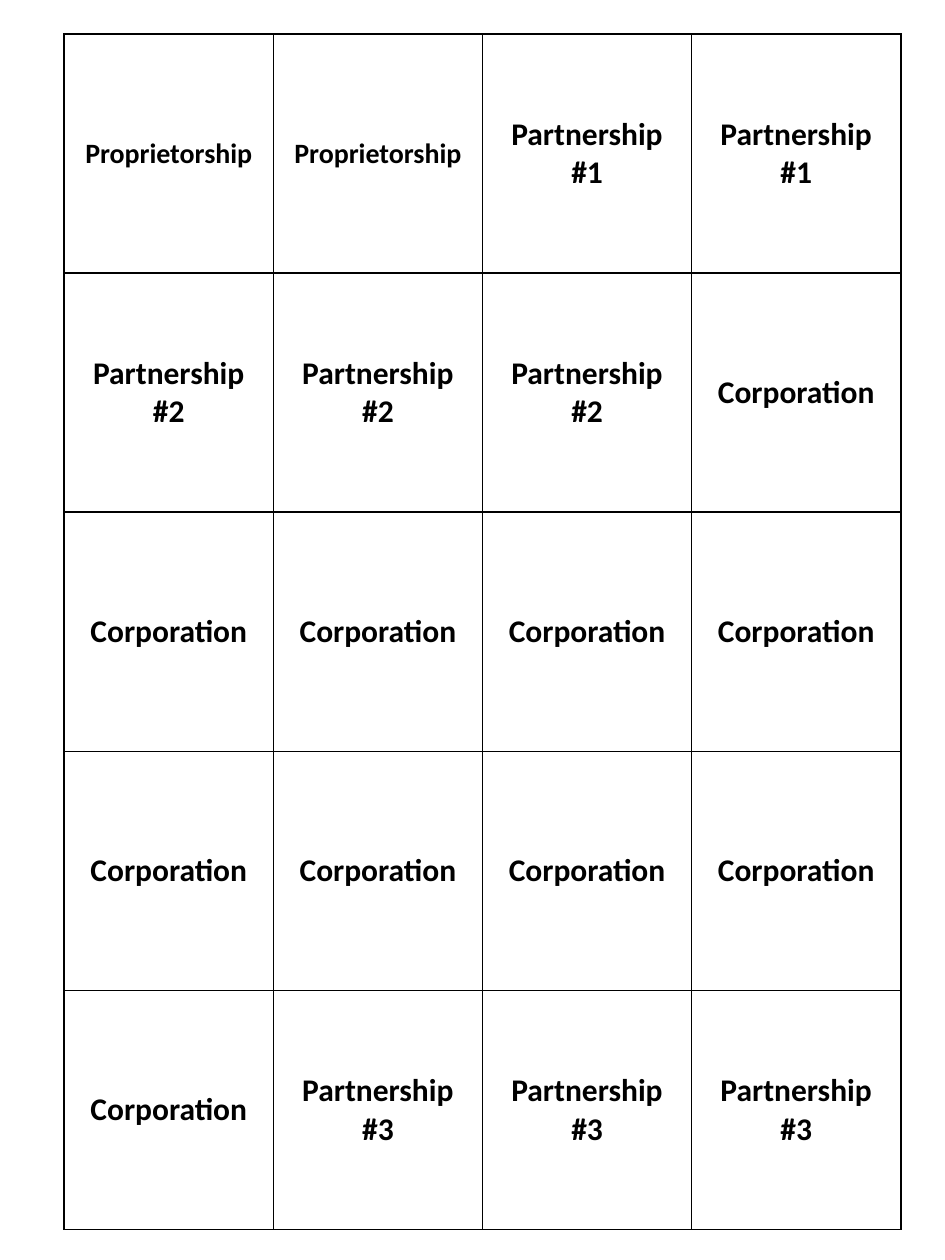
from dataclasses import dataclass
from itertools import chain, repeat

import pptx
import pptx.dml.color
import pptx.enum.text
import pptx.oxml
import pptx.oxml.ns
import pptx.table
import pptx.util


@dataclass(frozen=True)
class Theme:
    font: str = "Calibri"
    ink: str = "000000"
    label_size: float = 18
    long_label_size: float = 16
    border_width: float = 1


@dataclass(frozen=True)
class CardGroup:
    label: str
    count: int
    size: float


@dataclass(frozen=True)
class Grid:
    left: float = 36.72
    top: float = 19.44
    width: float = 478.08
    height: float = 683.28
    columns: int = 4
    rows: int = 5


THEME = Theme()
GRID = Grid()

# Cards in reading order
CARD_GROUPS = [
    CardGroup("Proprietorship", 2, THEME.long_label_size),
    CardGroup("Partnership #1", 2, THEME.label_size),
    CardGroup("Partnership #2", 3, THEME.label_size),
    CardGroup("Corporation", 10, THEME.label_size),
    CardGroup("Partnership #3", 3, THEME.label_size),
]


def add_borders(cell: pptx.table._Cell) -> None:
    properties = cell._tc.get_or_add_tcPr()
    width = pptx.util.Pt(THEME.border_width)
    for side in ("lnL", "lnR", "lnT", "lnB"):
        properties.append(pptx.oxml.parse_xml(
            f'<a:{side} {pptx.oxml.ns.nsdecls("a")} w="{width}">'
            f'<a:solidFill><a:srgbClr val="{THEME.ink}"/></a:solidFill></a:{side}>'
        ))


def draw_card(cell: pptx.table._Cell, group: CardGroup) -> None:
    add_borders(cell)
    cell.fill.background()
    cell.vertical_anchor = pptx.enum.text.MSO_ANCHOR.MIDDLE
    para = cell.text_frame.paragraphs[0]
    para.alignment = pptx.enum.text.PP_ALIGN.CENTER
    span = para.add_run()
    span.text = group.label
    font_format = {"name": THEME.font, "size": pptx.util.Pt(group.size), "bold": True}
    for name, value in font_format.items():
        setattr(span.font, name, value)
    span.font.color.rgb = pptx.dml.color.RGBColor.from_string(THEME.ink)


def draw_cards(page: pptx.slide.Slide) -> None:
    bounds = (pptx.util.Pt(n) for n in (GRID.left, GRID.top, GRID.width, GRID.height))
    table = page.shapes.add_table(GRID.rows, GRID.columns, *bounds).table
    for flag, value in {"first_row": False, "horz_banding": False}.items():
        setattr(table, flag, value)
    cards = chain.from_iterable(repeat(group, group.count) for group in CARD_GROUPS)
    for cell, group in zip(table.iter_cells(), cards):
        draw_card(cell, group)


def main() -> None:
    # Portrait page
    deck = pptx.Presentation()
    deck.slide_width = pptx.util.Pt(540)
    deck.slide_height = pptx.util.Pt(720)
    page = deck.slides.add_slide(deck.slide_layouts[6])

    # Grid of cards
    draw_cards(page)
    deck.save("out.pptx")


if __name__ == "__main__":
    main()
